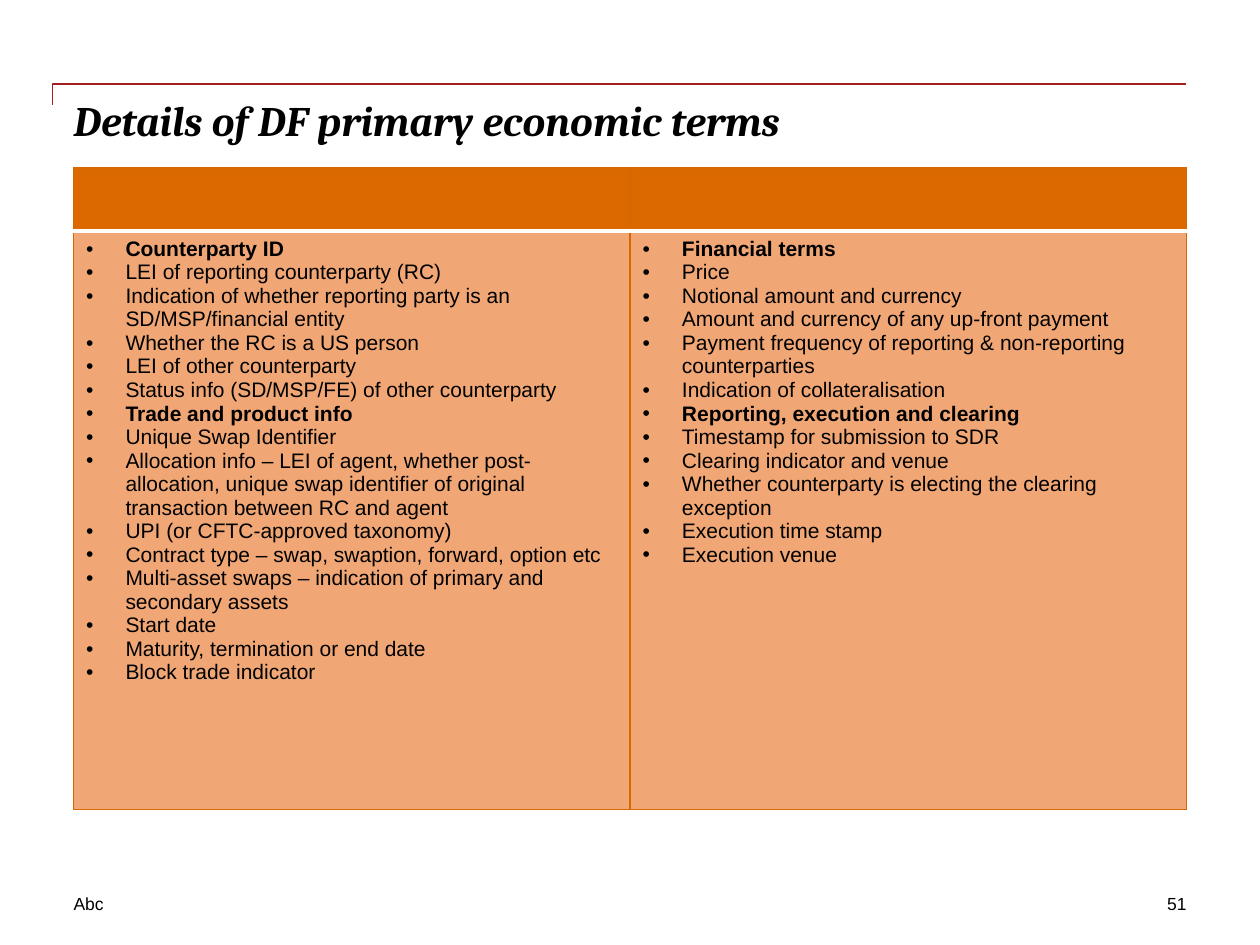
from lxml.etree import SubElement
from pptx import Presentation
from pptx.dml.color import RGBColor
from pptx.enum.text import MSO_ANCHOR as Anchor, MSO_AUTO_SIZE as AutoSize, PP_ALIGN as Align
from pptx.oxml.ns import qn
from pptx.util import Pt

LEFT, WIDTH = 42, 636
ORANGE, BORDER, PALE = "DC6900", "D76700", "F1A775"
RED, BLACK, WHITE = "A32020", "000000", "FFFFFF"
INDENT = 22.5

# Each column holds groups: a bold heading and its items
COLUMNS = [
    [
        ("Counterparty ID", [
            "LEI of reporting counterparty (RC)",
            "Indication of whether reporting party is an SD/MSP/financial entity",
            "Whether the RC is a US person",
            "LEI of other counterparty",
            "Status info (SD/MSP/FE) of other counterparty",
        ]),
        ("Trade and product info", [
            "Unique Swap Identifier",
            "Allocation info – LEI of agent, whether post-allocation, unique swap "
            "identifier of original transaction between RC and agent",
            "UPI (or CFTC-approved taxonomy)",
            "Contract type – swap, swaption, forward, option etc",
            "Multi-asset swaps – indication of primary and secondary assets",
            "Start date",
            "Maturity, termination or end date",
            "Block trade indicator",
        ]),
    ],
    [
        ("Financial terms", [
            "Price",
            "Notional amount and currency",
            "Amount and currency of any up-front payment",
            "Payment frequency of reporting & non-reporting counterparties",
            "Indication of collateralisation",
        ]),
        ("Reporting, execution and clearing", [
            "Timestamp for submission to SDR",
            "Clearing indicator and venue",
            "Whether counterparty is electing the clearing exception",
            "Execution time stamp",
            "Execution venue",
        ]),
    ],
]


def rgb(value):
    return RGBColor.from_string(value)


def format_font(font, color=BLACK, **values):
    for name, value in values.items():
        setattr(font, name, value)
    font.color.rgb = rgb(color)


def fill_text(sp, text, align, **font):
    tf = sp.text_frame
    frame = dict(margin_left=0, margin_top=0, margin_right=0, margin_bottom=0,
                 word_wrap=True, auto_size=AutoSize.NONE, vertical_anchor=Anchor.TOP)
    for name, value in frame.items():
        setattr(tf, name, value)
    p = tf.paragraphs[0]
    p.alignment = align
    r = p.add_run()
    r.text = text
    format_font(r.font, **font)


def add_title(s, text):
    sp = s.shapes.title
    place = dict(left=LEFT, top=54, width=WIDTH, height=72)
    for name, value in place.items():
        setattr(sp, name, Pt(value))
    fill_text(sp, text, Align.LEFT, name="Cambria", size=Pt(24), bold=True, italic=True)


def add_footer(s, text, left, width, align):
    sp = s.shapes.add_textbox(Pt(left), Pt(510), Pt(width), Pt(12))
    fill_text(sp, text, align, name="Arial", size=Pt(10))


def add_corner_line(s):
    builder = s.shapes.build_freeform(Pt(30), Pt(60))
    builder.add_line_segments([(Pt(30), Pt(48)), (Pt(678), Pt(48))], close=False)
    sp = builder.convert_to_shape()
    sp.shadow.inherit = False
    sp.fill.background()
    sp.line.color.rgb = rgb(RED)
    sp.line.width = Pt(1)


def set_borders(cell, **special):
    """Draw all four sides; special maps a side to its (colour, width)."""
    tc_pr = cell._tc.get_or_add_tcPr()
    for side in "LRTB":
        color, width = special.get(side, (BORDER, 0.75))
        ln = SubElement(tc_pr, qn(f"a:ln{side}"), w=str(Pt(width)))
        SubElement(SubElement(ln, qn("a:solidFill")), qn("a:srgbClr"), val=color)


def add_bullet(p, text, bold):
    p_pr = p._p.get_or_add_pPr()
    p_pr.set("marL", str(Pt(INDENT)))
    p_pr.set("indent", str(-Pt(INDENT)))
    SubElement(p_pr, qn("a:buFont"), typeface="Arial")
    SubElement(p_pr, qn("a:buChar"), char="•")
    r = p.add_run()
    r.text = text
    format_font(r.font, name="Arial", size=Pt(12), bold=bold)


def fill_cell(cell, groups):
    lines = [(text, text == heading)
             for heading, items in groups for text in [heading, *items]]
    tf = cell.text_frame
    for i, (text, bold) in enumerate(lines):
        add_bullet(tf.add_paragraph() if i else tf.paragraphs[0], text, bold)


def add_terms_table(s):
    heights = [36, 330.5]
    frame = s.shapes.add_table(2, len(COLUMNS), Pt(LEFT), Pt(96), Pt(WIDTH), Pt(sum(heights)))
    table = frame.table
    table.horz_banding = False
    for row, height in zip(table.rows, heights):
        row.height = Pt(height)
    rule = (WHITE, 2)
    for i, groups in enumerate(COLUMNS):
        table.columns[i].width = Pt(WIDTH / len(COLUMNS))
        header, body = table.cell(0, i), table.cell(1, i)
        set_borders(header, B=rule)
        set_borders(body, T=rule)
        for cell, color in ((header, ORANGE), (body, PALE)):
            cell.fill.solid()
            cell.fill.fore_color.rgb = rgb(color)
        fill_cell(body, groups)


def main():
    prs = Presentation()
    prs.slide_width, prs.slide_height = Pt(720), Pt(540)
    s = prs.slides.add_slide(prs.slide_layouts[5])

    # Heading
    add_corner_line(s)
    add_title(s, "Details of DF primary economic terms")

    # Terms in two columns
    add_terms_table(s)

    # Footer
    add_footer(s, "Abc", LEFT, 204, Align.LEFT)
    add_footer(s, "51", 558, 120, Align.RIGHT)

    prs.save("out.pptx")


if __name__ == "__main__":
    main()
